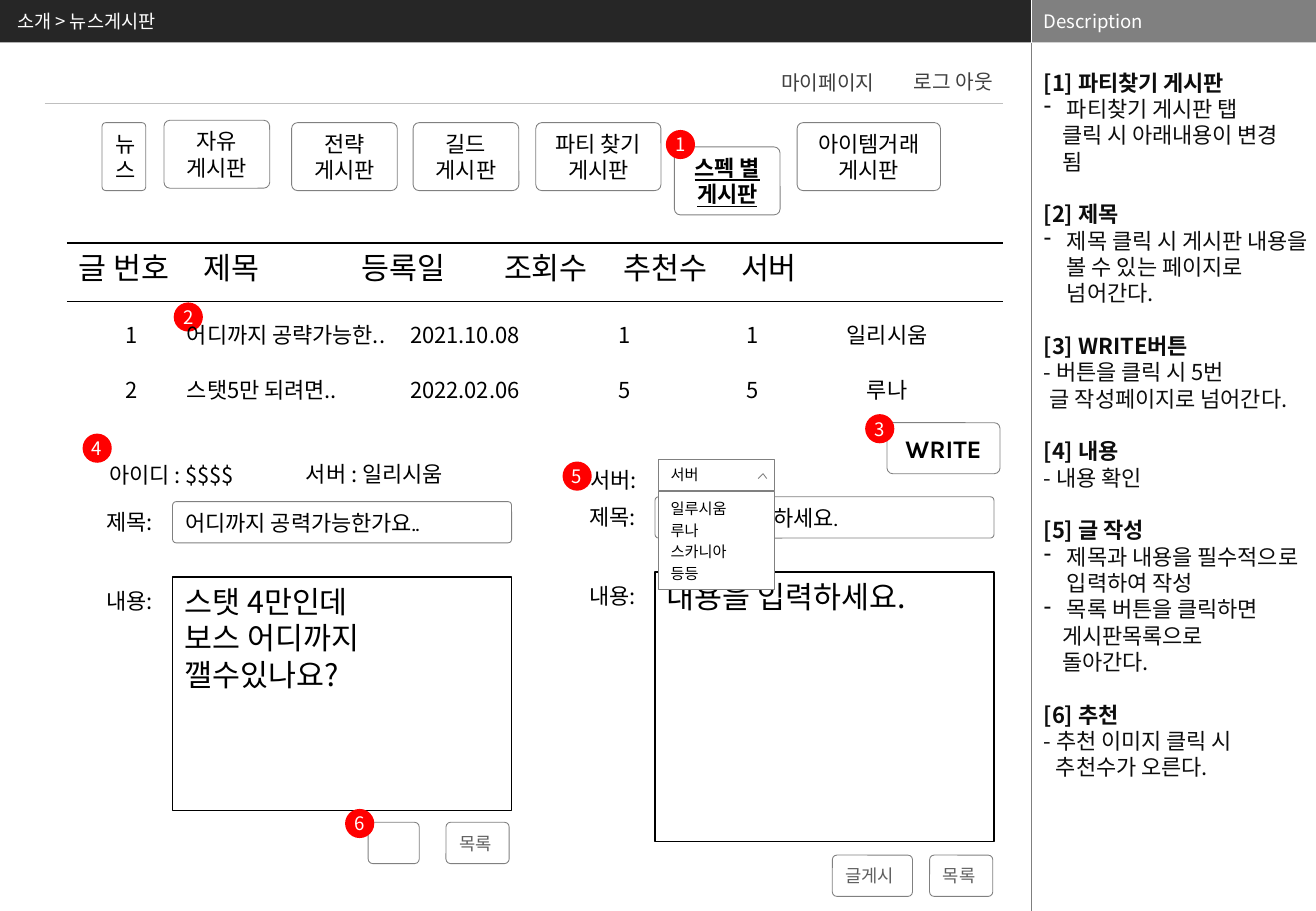
from lxml import etree
from pptx import Presentation
from pptx.dml.color import RGBColor
from pptx.enum.shapes import MSO_CONNECTOR, MSO_SHAPE
from pptx.enum.text import MSO_ANCHOR, MSO_AUTO_SIZE, PP_ALIGN
from pptx.oxml.ns import qn
from pptx.util import Inches, Pt

RECT, ROUND, OVAL = MSO_SHAPE.RECTANGLE, MSO_SHAPE.ROUNDED_RECTANGLE, MSO_SHAPE.OVAL
STRAIGHT = MSO_CONNECTOR.STRAIGHT
LEFT, CENTER = PP_ALIGN.LEFT, PP_ALIGN.CENTER
TOP, MIDDLE = MSO_ANCHOR.TOP, MSO_ANCHOR.MIDDLE
NO_FIT = MSO_AUTO_SIZE.NONE
NOTO, KARLA = "Noto Sans CJK KR", "Karla"
COLORS = {"bar": "262626", "gray": "808080", "divider": "7F7F7F", "rule": "BFBFBF",
          "white": "FFFFFF", "black": "000000", "red": "FF0000", "account": "404040",
          "button": "5F5F5F", "note": "0D0D0D"}
PLAIN = (0.1, 0.05, 0.1, 0.05)
SNUG = (0.1, 0.07, 0.1, 0.07)
NONE = (0, 0, 0, 0)

TABS = [("뉴스", 0.84, 1.01, 0.36), ("자유\n게시판", 1.35, 0.99, 0.87),
        ("전략\n게시판", 2.4, 1.01, 0.87), ("길드\n게시판", 3.4, 1.01, 0.87),
        ("파티 찾기\n게시판", 4.41, 1.01, 1.03), ("스펙 별\n게시판", 5.55, 1.21, 0.87),
        ("아이템거래\n게시판", 6.56, 1.01, 1.18)]
HEADERS = ["글 번호", "제목", "등록일", "조회수", "추천수", "서버"]
HEADER_STOPS = [1.03, 2.33, 3.5, 4.48, 5.45]
POST_COLUMNS = [(0, 1.06, CENTER), (0.89, 2.4, LEFT), (2.55, 1.45, CENTER),
                (4.06, 1.06, CENTER), (5.11, 1.06, CENTER), (6.22, 1.06, CENTER)]
POSTS = [["1", "어디까지 공략가능한..", "2021.10.08", "1", "1", "일리시움"],
         ["2", "스탯5만 되려면..", "2022.02.06", "5", "5", "루나"]]
NOTES = [("head", "[1] 파티찾기 게시판"), ("bullet", "파티찾기 게시판 탭"),
         (0.15, "클릭 시 아래내용이 변경"), (0.15, "됨"),
         ("head", "[2] 제목"),
         ("bullet", "제목 클릭 시 게시판 내용을 볼 수 있는 페이지로 넘어간다."),
         ("head", "[3] WRITE버튼"), (0, "- 버튼을 클릭 시 5번"), (0.05, "글 작성페이지로 넘어간다."),
         ("head", "[4] 내용"), (0, "- 내용 확인"),
         ("head", "[5] 글 작성"), ("bullet", "제목과 내용을 필수적으로 입력하여 작성"),
         ("bullet", "목록 버튼을 클릭하면"), (0.15, "게시판목록으로"), (0.15, "돌아간다."),
         ("head", "[6] 추천"), (0, "- 추천 이미지 클릭 시"), (0.1, "추천수가 오른다.")]


def rgb(name):
    """Return the palette colour of that name."""
    return RGBColor.from_string(COLORS[name])


def write(shape, text, size, color="black", font=NOTO, align=LEFT, anchor=TOP,
          insets=PLAIN, wrap=True, bold=False):
    """Fill a shape with formatted text, one paragraph a line."""
    frame = shape.text_frame
    frame.text = text
    frame.word_wrap, frame.auto_size, frame.vertical_anchor = wrap, NO_FIT, anchor
    frame.margin_left, frame.margin_top, frame.margin_right, frame.margin_bottom = map(Inches, insets)
    for paragraph in frame.paragraphs:
        paragraph.alignment = align
        for run in paragraph.runs:
            run.font.size, run.font.name, run.font.bold = Pt(size), font, bold
            run.font.color.rgb = rgb(color)
            etree.SubElement(run.font._element, qn("a:ea"), typeface=NOTO)
    return shape


def label(slide, box, text, size=13, **style):
    """Add a text box."""
    return write(slide.shapes.add_textbox(*map(Inches, box)), text, size, **style)


def block(slide, kind, box, fill=None, line=None, width=0.5, corner=None):
    """Add a flat preset shape."""
    shape = slide.shapes.add_shape(kind, *map(Inches, box))
    shape.shadow.inherit = False
    if fill:
        shape.fill.solid()
        shape.fill.fore_color.rgb = rgb(fill)
    else:
        shape.fill.background()
    if line:
        shape.line.color.rgb, shape.line.width = rgb(line), Pt(width)
    else:
        shape.line.fill.background()
    if corner:
        shape.adjustments[0] = corner
    return shape


def rule(slide, x1, y1, x2, y2, color, width=0.75):
    """Draw a thin straight line."""
    line = slide.shapes.add_connector(STRAIGHT, *map(Inches, (x1, y1, x2, y2)))
    line.line.color.rgb, line.line.width = rgb(color), Pt(width)
    etree.SubElement(line._element.spPr, qn("a:effectLst"))


def field(slide, box, corner=0.088):
    """Add a white rounded box for a tab, input or button."""
    return block(slide, ROUND, box, "white", "gray", corner=corner)


def button(slide, box, text):
    """Add a small gray-lettered button."""
    write(field(slide, box, 0.112), text, 10.5, "button", KARLA, anchor=MIDDLE, insets=SNUG, wrap=False)


def marker(slide, x, y, number):
    """Add a numbered red dot."""
    write(block(slide, OVAL, (x, y, 0.24, 0.24), "red"), str(number), 11, "white",
          align=CENTER, anchor=MIDDLE, insets=NONE, wrap=False)


def header_bar(slide, width, height, split):
    """Place the breadcrumb title and the description heading."""
    title = slide.shapes.title
    bar = block(slide, RECT, (0, 0, split, height), "bar")
    title.element.addprevious(bar.element)
    title.left, title.top, title.width, title.height = map(Inches, (0, 0, 8.25, height))
    write(title, "소개 > 뉴스게시판", 11, "white", anchor=MIDDLE, insets=(0.14, 0.05, 0.1, 0.05))
    heading = (split, 0, width - split, height)
    block(slide, RECT, heading, "gray")
    rule(slide, split, 0, split, height, "white", 0.25)
    rule(slide, split, height, split, 7.5, "divider", 0.25)
    label(slide, heading, "Description", 11, color="white", anchor=MIDDLE)


def description(slide, box):
    """Place the numbered notes of the side panel."""
    notes = label(slide, box, "\n".join(text for _, text in NOTES),
                  color="note", insets=(0.04, 0, 0.04, 0))
    for index, (paragraph, (kind, _)) in enumerate(zip(notes.text_frame.paragraphs, NOTES)):
        properties = paragraph._p.get_or_add_pPr()
        if kind == "head":
            paragraph.runs[0].font.bold = True
            paragraph.space_before = Pt(15.6 if index else 0)
        elif kind == "bullet":
            properties.set("marL", str(Inches(0.19)))
            properties.set("indent", str(-Inches(0.19)))
            etree.SubElement(properties, qn("a:buChar"), char="-")
        else:
            properties.set("marL", str(Inches(kind)))


def navigation(slide, left, right):
    """Place the account links and the board tabs."""
    rule(slide, left, 0.85, right, 0.85, "rule")
    for text, x, y, width in [("마이페이지", 6.43, 0.58, 0.84), ("로그 아웃", 7.52, 0.57, 0.73)]:
        label(slide, (x, y, width, 0.2), text, 12, color="account", insets=NONE, wrap=False)
    for text, x, y, width in TABS:
        tab = write(field(slide, (x, y, width, 0.56)), text, 13, font=KARLA,
                    align=CENTER if "\n" in text else LEFT, anchor=MIDDLE)
        if text.startswith("스펙"):
            for paragraph in tab.text_frame.paragraphs:
                paragraph.runs[0].font.bold = paragraph.runs[0].font.underline = True
    marker(slide, 5.48, 1.07, 1)


def post_list(slide, left, top, width):
    """Place the list of posts and its write button."""
    for y in (top, top + 0.48):
        rule(slide, left, y, left + width, y, "black")
    headers = label(slide, (left, top, width, 0.4), "\t".join(HEADERS), 18)
    stops = etree.SubElement(headers.text_frame.paragraphs[0]._p.get_or_add_pPr(), qn("a:tabLst"))
    for stop in HEADER_STOPS:
        etree.SubElement(stops, qn("a:tab"), pos=str(Inches(stop)), algn="l")
    marker(slide, left + 0.88, top + 0.49, 2)
    for row, post in enumerate(POSTS):
        for text, (x, column, align) in zip(post, POST_COLUMNS):
            label(slide, (left + x, top + 0.6 + 0.45 * row, column, 0.32), text, align=align)
    write(field(slide, (7.3, 3.48, 0.93, 0.42), 0.112), "WRITE", 15, font=KARLA,
          align=CENTER, anchor=MIDDLE, insets=SNUG, bold=True)
    marker(slide, 7.12, 3.41, 3)


def post_form(slide, left, top, subject, body, body_height):
    """Place the labelled subject and body boxes of a post."""
    write(field(slide, (left + 0.64, top, 2.79, 0.34)), subject, 13, font=KARLA, anchor=MIDDLE)
    write(block(slide, RECT, (left + 0.64, top + 0.62, 2.79, body_height), line="black", width=0.75), body, 18)
    for text, y in [("제목:", 0.01), ("내용:", 0.66)]:
        label(slide, (left, top + y, 2.16, 0.32), text)


def post_view(slide, left, top):
    """Place the view of one post."""
    post_form(slide, left, top, "어디까지 공력가능한가요..", "스탯 4만인데\n보스 어디까지 깰수있나요?", 1.92)
    label(slide, (left + 0.02, top - 0.38, 2.16, 0.32), "아이디 : $$$$")
    label(slide, (left + 1.64, top - 0.39, 2.16, 0.32), "서버 : 일리시움")
    marker(slide, left - 0.1, top - 0.56, 4)
    button(slide, (left + 2.89, top + 2.64, 0.52, 0.34), "목록")
    field(slide, (left + 2.25, top + 2.64, 0.42, 0.34), 0.112)
    marker(slide, left + 2.06, top + 2.53, 6)


def server_menu(slide, left, top, width):
    """Place the opened server drop-down."""
    write(block(slide, RECT, (left, top, width, 0.26), "white", "gray"), "서버", 9,
          anchor=MIDDLE, insets=(0.1, 0.06, 0.28, 0.06))
    x, y = left + 0.82, top + 0.16
    outline = slide.shapes.build_freeform(Inches(x), Inches(y))
    outline.add_line_segments([(Inches(x + 0.04), Inches(y - 0.04)), (Inches(x + 0.07), Inches(y))], close=False)
    chevron = outline.convert_to_shape()
    chevron.shadow.inherit = False
    chevron.fill.background()
    chevron.line.color.rgb, chevron.line.width = rgb("gray"), Pt(0.5)
    servers = write(block(slide, RECT, (left, top + 0.27, width, 0.8), "white", "gray"),
                    "일루시움\n루나\n스카니아\n등등", 9, insets=(0.1, 0.06, 0.1, 0.06))
    for paragraph in servers.text_frame.paragraphs:
        paragraph.space_after = Pt(2)


def post_editor(slide, left, top):
    """Place the form for writing a post."""
    post_form(slide, left, top, "제목을 입력하세요.", "내용을 입력하세요.", 2.22)
    marker(slide, left - 0.12, top - 0.29, 5)
    button(slide, (left + 2.1, top + 2.95, 0.66, 0.34), "글게시")
    button(slide, (left + 2.9, top + 2.95, 0.52, 0.34), "목록")
    server_menu(slide, left + 0.67, top - 0.31, 0.95)
    label(slide, (left + 0.01, top - 0.3, 2.16, 0.32), "서버:")


def main():
    """Build the board screen and save it."""
    deck = Presentation()
    deck.slide_width, deck.slide_height = Inches(10.83), Inches(7.5)
    slide = deck.slides.add_slide(deck.slide_layouts[5])
    header_bar(slide, 10.83, 0.35, 8.49)
    description(slide, (8.55, 0.57, 2.34, 6.93))
    navigation(slide, 0.37, 8.25)
    post_list(slide, 0.55, 2, 7.7)
    post_editor(slide, 4.75, 4.09)
    post_view(slide, 0.78, 4.13)
    deck.save("out.pptx")


if __name__ == "__main__":
    main()
